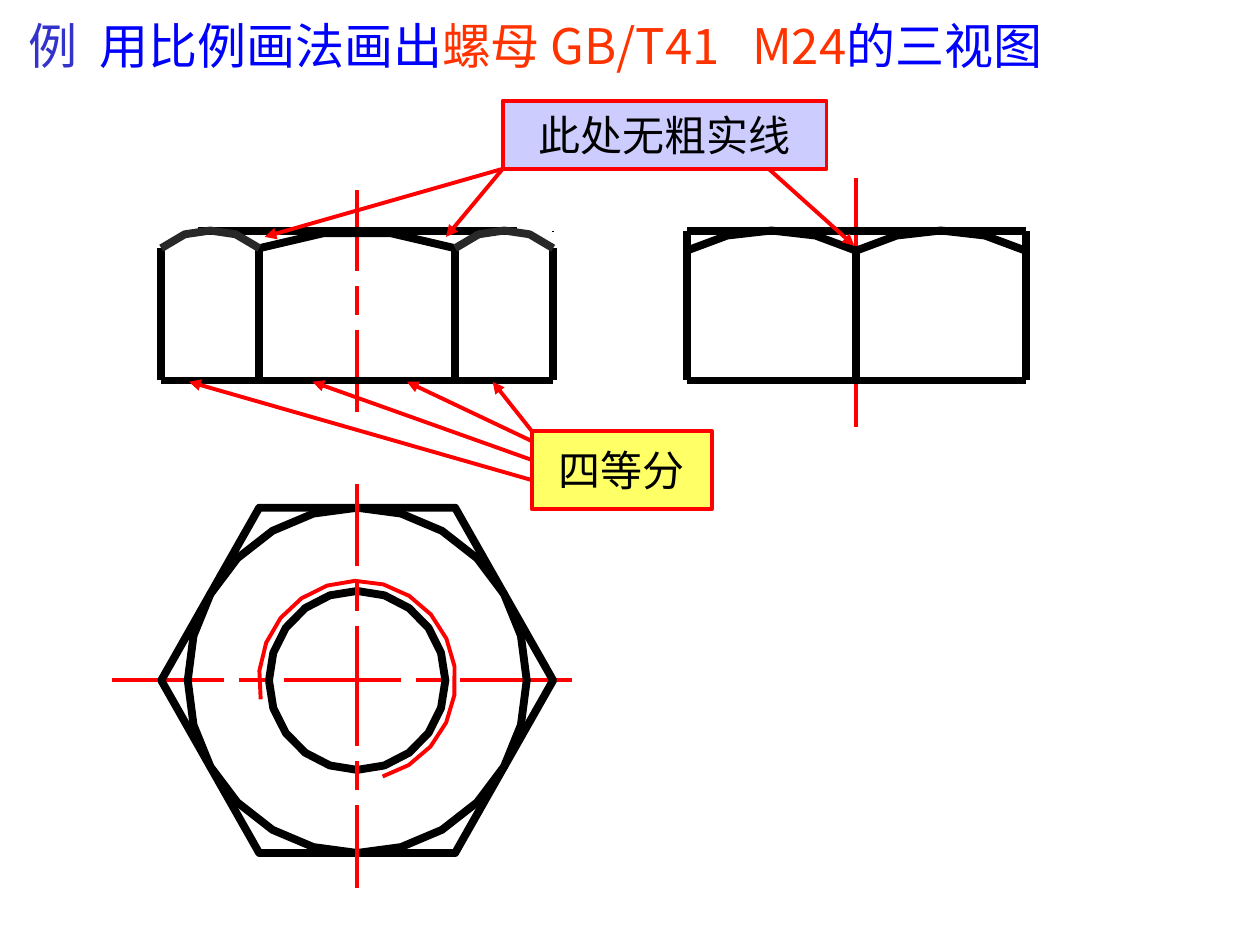
import math

import lxml.etree
import pptx
import pptx.dml.color
import pptx.enum.shapes
import pptx.enum.text
import pptx.oxml.ns
import pptx.util

Inches = pptx.util.Inches
qn = pptx.oxml.ns.qn
RED, BLACK, GREY = "FF0000", "000000", "282828"
THIN, THICK = 2.25, 4.5
EAST_ASIAN = "Noto Sans CJK SC"


def rgb(value):
    return pptx.dml.color.RGBColor.from_string(value)


def style_line(sp, color, width):
    sp.line.color.rgb = rgb(color)
    sp.line.width = pptx.util.Pt(width)
    lxml.etree.SubElement(sp.line._get_or_add_ln(), qn("a:round"))


def style_run(r, font, size, color):
    r.font.name = font
    r.font.size = pptx.util.Pt(size)
    r.font.color.rgb = rgb(color)
    ea = lxml.etree.SubElement(r._r.get_or_add_rPr(), qn("a:ea"))
    ea.set("typeface", EAST_ASIAN)


def add_line(s, start, end, color=BLACK, width=THICK, arrow=False):
    kind = pptx.enum.shapes.MSO_CONNECTOR.STRAIGHT
    sp = s.shapes.add_connector(kind, *[Inches(v) for v in (*start, *end)])
    style_line(sp, color, width)
    if arrow:
        tail = lxml.etree.SubElement(sp.line._get_or_add_ln(), qn("a:tailEnd"))
        tail.set("type", "triangle")
    lxml.etree.SubElement(sp._element.spPr, qn("a:effectLst"))


def add_outline(s, points, color=BLACK, width=THICK, close=False):
    pts = [(Inches(x), Inches(y)) for x, y in points]
    fb = s.shapes.build_freeform(*pts[0])
    fb.add_line_segments(pts[1:], close=close)
    sp = fb.convert_to_shape()
    sp.shadow.inherit = False
    sp.fill.background()
    style_line(sp, color, width)


def centre_line(s, x, y, dashes, vertical=True, gap=0.12):
    for dash in dashes:
        dx, dy = (0, dash) if vertical else (dash, 0)
        add_line(s, (x, y), (x + dx, y + dy), RED, THIN)
        x, y = (x, y + dash + gap) if vertical else (x + dash + gap, y)


def chamfer(s, x, w, y, drops, color=BLACK):
    fractions = (0, 0.24, 0.5, 0.76, 1) if len(drops) == 5 else (0, 0.33, 0.67, 1)
    add_outline(s, [(x + w * f, y + d) for f, d in zip(fractions, drops)], color)


def ellipse_points(cx, cy, rx, ry, start, sweep, count):
    angles = [math.radians(start + sweep * i / count) for i in range(count + 1)]
    return [(cx + rx * math.cos(a), cy + ry * math.sin(a)) for a in angles]


def front_view(s, x, y, w, h):
    quarter, drop = w / 4, 0.14
    bottom, right = y + h, x + w
    centre_line(s, x + w / 2, y - 0.32, (0.64, 0.23, 0.65))
    add_line(s, (x, bottom), (right, bottom))
    add_line(s, (x + 0.29, y), (right - 0.29, y))
    for i in (0, 1, 3, 4):
        edge = x + quarter * i
        add_line(s, (edge, y + drop), (edge, bottom))
    chamfer(s, x + quarter, w / 2, y, (drop, 0.02, 0.02, drop))
    for left in (right - quarter, x):
        chamfer(s, left, quarter, y, (drop, 0.03, 0, 0.03, drop), GREY)
    add_line(s, (right, y), (right, y + 0.01), width=1.5)


def side_view(s, x, y, w, h):
    half, drop = w / 2, 0.16
    centre_line(s, x + half, y - 0.42, (0.75, 0.24, 0.75))
    for level in (y, y + h):
        add_line(s, (x, level), (x + w, level))
    for edge, top in ((x, y), (x + w, y), (x + half, y + drop)):
        add_line(s, (edge, top), (edge, y + h))
    for left in (x, x + half):
        chamfer(s, left, half, y, (drop, 0.04, 0, 0.04, drop))


def top_view(s, x, y, w, h):
    cx, cy = x + w / 2, y + h / 2
    centre_line(s, x - 0.39, cy, (0.89, 0.23, 0.93, 0.23, 0.89), vertical=False)
    add_outline(s, ellipse_points(cx, cy, w / 2, w / 2 * 0.88 / math.sin(math.pi / 3) * h / (w * 0.88),
                                  0, 300, 6 - 1), close=True)
    add_outline(s, ellipse_points(cx, cy, 1.345, h / 2, 0, 345, 23), close=True)
    add_outline(s, ellipse_points(cx, cy, 0.7, 0.71, 0, 342, 19), close=True)
    add_outline(s, ellipse_points(cx, cy, 0.78, 0.79, 75, -266, 16), RED, THIN)
    centre_line(s, cx, y - 0.19, (0.65, 0.24, 0.95, 0.23, 0.66))


def callout(s, x, y, w, h, text, fill, arrows):
    kind = pptx.enum.shapes.MSO_SHAPE.RECTANGLE
    sp = s.shapes.add_shape(kind, *[Inches(v) for v in (x, y, w, h)])
    sp.shadow.inherit = False
    sp.fill.solid()
    sp.fill.fore_color.rgb = rgb(fill)
    sp.line.color.rgb = rgb(RED)
    sp.line.width = pptx.util.Pt(THIN)
    tf = sp.text_frame
    tf.word_wrap = False
    tf.vertical_anchor = pptx.enum.text.MSO_ANCHOR.MIDDLE
    tf.text = text
    p = tf.paragraphs[0]
    p.alignment = pptx.enum.text.PP_ALIGN.CENTER
    style_run(p.runs[0], "Times New Roman", 24, BLACK)
    for (dx, dy), tip in arrows:
        add_line(s, (x + dx, y + dy), tip, RED, THIN, arrow=True)


def title(s, x, y, w, h, runs, tabs):
    sp = s.shapes.title
    sp.left, sp.top, sp.width, sp.height = [Inches(v) for v in (x, y, w, h)]
    tf = sp.text_frame
    tf.word_wrap = True
    tf.auto_size = pptx.enum.text.MSO_AUTO_SIZE.SHAPE_TO_FIT_TEXT
    tf.vertical_anchor = pptx.enum.text.MSO_ANCHOR.TOP
    p = tf.paragraphs[0]
    p.alignment = pptx.enum.text.PP_ALIGN.LEFT
    stops = lxml.etree.SubElement(p._p.get_or_add_pPr(), qn("a:tabLst"))
    for pos in tabs:
        tab = lxml.etree.SubElement(stops, qn("a:tab"))
        tab.set("pos", str(Inches(pos)))
        tab.set("algn", "l")
    for text, color in runs:
        r = p.add_run()
        r.text = text
        style_run(r, EAST_ASIAN, 28, color)


def main():
    prs = pptx.Presentation()
    prs.slide_width, prs.slide_height = Inches(10), Inches(7.5)
    s = prs.slides.add_slide(prs.slide_layouts[5])
    title(s, 0.13, 0.07, 9.85, 0.57,
          [("例\t", "3333CC"), ("用比例画法画出", "0000FF"),
           ("螺母 GB/T41\tM24", "FF3300"), ("的三视图", "0000FF")],
          tabs=(0.56, 5.74))
    front_view(s, 1.28, 1.83, 3.11, 1.19)
    side_view(s, 5.45, 1.83, 2.69, 1.19)
    top_view(s, 1.28, 4.03, 3.11, 2.74)
    callout(s, 4.22, 3.42, 1.43, 0.62, "四等分", "FFFF66",
            [((0, 0), (3.91, 3.03)), ((0, 0.08), (3.23, 3.03)),
             ((0, 0.23), (2.48, 3.03)), ((0, 0.39), (1.5, 3.03))])
    callout(s, 3.99, 0.8, 2.57, 0.54, "此处无粗实线", "CCCCFF",
            [((2.11, 0.54), (6.78, 1.95)), ((0, 0.54), (3.54, 1.88)),
             ((0, 0.54), (2.1, 1.88))])
    prs.save("out.pptx")


if __name__ == "__main__":
    main()
